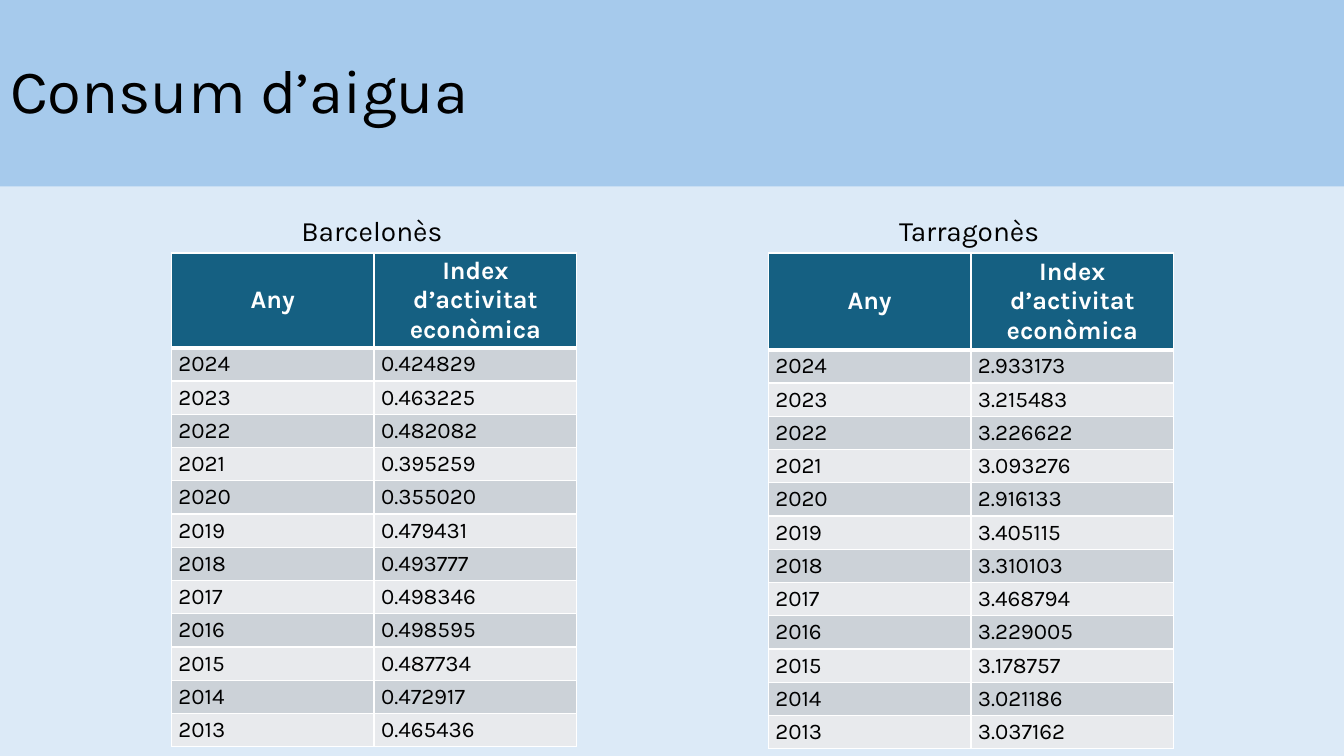
from pptx import Presentation
from pptx.dml.color import RGBColor
from pptx.enum.text import MSO_ANCHOR, MSO_AUTO_SIZE, PP_ALIGN
from pptx.oxml import parse_xml
from pptx.oxml.ns import nsdecls
from pptx.util import Inches, Pt

MID = MSO_ANCHOR.MIDDLE
LEFT, CENTER = PP_ALIGN.LEFT, PP_ALIGN.CENTER
FIXED, GROW = MSO_AUTO_SIZE.NONE, MSO_AUTO_SIZE.SHAPE_TO_FIT_TEXT
WHITE, BLACK = "FFFFFF", "000000"
BANDS = ["E8EAED", "CCD2D8"]


def paint(fill, color):
    fill.solid()
    fill.fore_color.rgb = RGBColor.from_string(color)


def write(par, text, size, color=BLACK, bold=False, align=LEFT):
    par.alignment = align
    run = par.add_run()
    run.text = text
    run.font.name = "Karla"
    run.font.size = Pt(size)
    run.font.bold = bold
    run.font.color.rgb = RGBColor.from_string(color)


deck = Presentation()
deck.slide_width, deck.slide_height = Inches(13.33), Inches(7.5)
slide = deck.slides.add_slide(deck.slide_layouts[5])
paint(slide.background.fill, "DCEAF7")

# Title band
title = slide.shapes.title
title.left, title.top = Inches(0), Inches(0)
title.width, title.height = Inches(13.33), Inches(1.85)
paint(title.fill, "A6CAEC")
frame = title.text_frame
frame.auto_size = FIXED
frame.vertical_anchor = MID
par = frame.paragraphs[0]
par.line_spacing = 0.9
write(par, "Consum d’aigua", 44)

# Counties: name, label left, table left, values from 2024 back
counties = [
    ("Barcelonès", 2.89, 1.7, [
        "0.424829", "0.463225", "0.482082", "0.395259", "0.355020", "0.479431",
        "0.493777", "0.498346", "0.498595", "0.487734", "0.472917", "0.465436"]),
    ("Tarragonès", 8.82, 7.62, [
        "2.933173", "3.215483", "3.226622", "3.093276", "2.916133", "3.405115",
        "3.310103", "3.468794", "3.229005", "3.178757", "3.021186", "3.037162"]),
]

for name, label_x, table_x, values in counties:
    # Table of yearly values
    rows = [("Any", "Index d’activitat econòmica")]
    rows += [(str(2024 - i), value) for i, value in enumerate(values)]
    table = slide.shapes.add_table(
        len(rows), 2, Inches(table_x), Inches(2.51), Inches(4.01), Inches(4.57)).table
    for col in table.columns:
        col.width = Inches(2.01)
    for i, texts in enumerate(rows):
        head = i == 0
        table.rows[i].height = Inches(0.61 if head else 0.33)
        for j, text in enumerate(texts):
            cell = table.cell(i, j)
            cell.vertical_anchor = MID
            cell.margin_left = cell.margin_right = Inches(0.07)
            cell.margin_top = cell.margin_bottom = Inches(0.03)
            # Borders, with a thick rule under the header
            props = cell._tc.get_or_add_tcPr()
            for side in ("LRTB" if head else "LRB"):
                wide = Pt(3 if head and side == "B" else 1)
                props.append(parse_xml(
                    f'<a:ln{side} {nsdecls("a")} w="{wide}"><a:solidFill>'
                    f'<a:srgbClr val="{WHITE}"/></a:solidFill></a:ln{side}>'))
            par = cell.text_frame.paragraphs[0]
            if head:
                paint(cell.fill, "156082")
                write(par, text, 18, WHITE, True, CENTER)
            else:
                paint(cell.fill, BANDS[i % 2])
                write(par, text, 16)

    # County label
    box = slide.shapes.add_textbox(
        Inches(label_x), Inches(2.07), Inches(1.63), Inches(0.44))
    box.text_frame.word_wrap = True
    box.text_frame.auto_size = GROW
    write(box.text_frame.paragraphs[0], name, 20)

deck.save("out.pptx")
